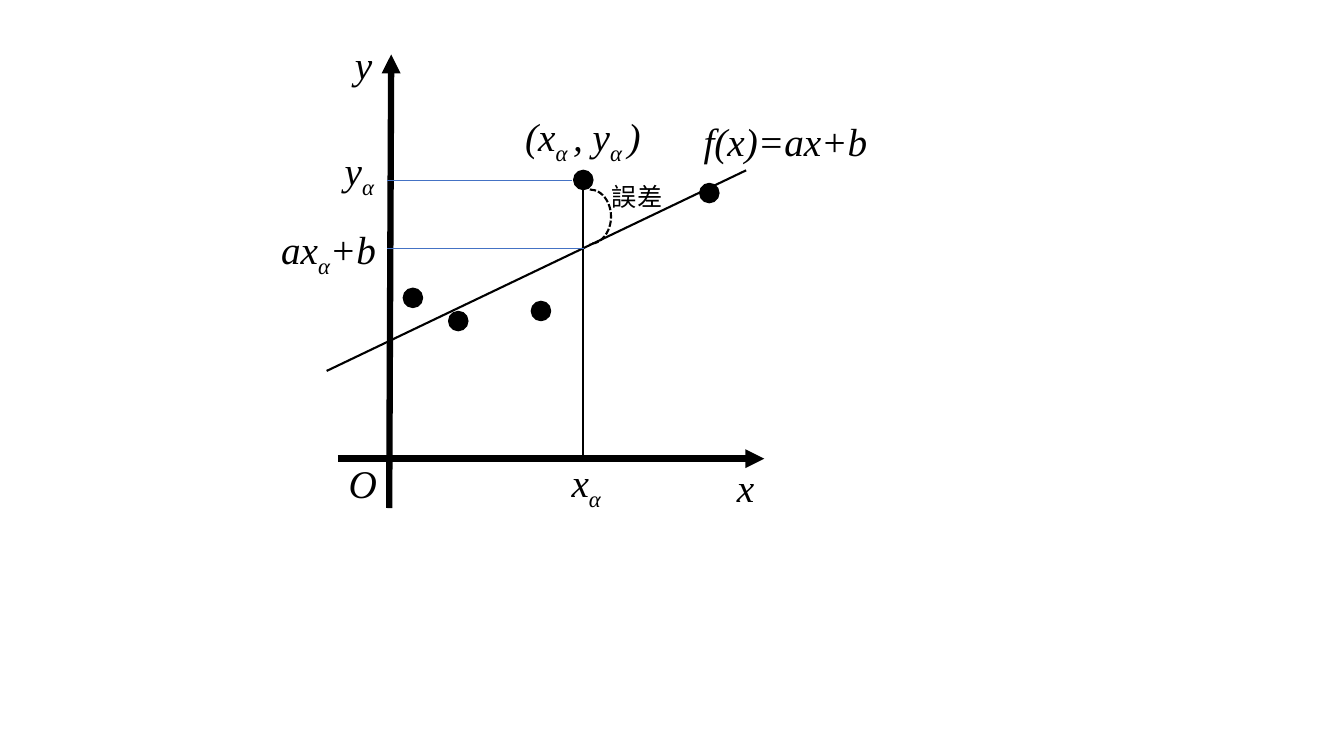
from lxml import etree
from pptx import Presentation
from pptx.dml.color import RGBColor
from pptx.enum.dml import MSO_LINE
from pptx.enum.shapes import MSO_CONNECTOR, MSO_SHAPE
from pptx.enum.text import MSO_AUTO_SIZE
from pptx.oxml.ns import qn
from pptx.util import Pt

PX = 9144
BLACK = RGBColor(0x00, 0x00, 0x00)
BLUE = RGBColor(0x44, 0x72, 0xC4)
SERIF = "Times New Roman"
SANS = "Noto Sans CJK JP"
LINE = MSO_CONNECTOR.STRAIGHT
OVAL = MSO_SHAPE.OVAL
ARC = MSO_SHAPE.ARC
DASH = MSO_LINE.SQUARE_DOT
FIT = MSO_AUTO_SIZE.SHAPE_TO_FIT_TEXT

AXES = [(335, 455, 758, 455), (386, 504, 388, 54)]
TREND = (324, 368, 740, 169)
DROP = (578, 455, 578, 188)
GUIDES = [(384, 179, 567, 179), (384, 246, 579, 246)]
DOT = 19
DOTS = [(400, 286), (445, 309), (569, 169), (694, 182), (527, 299)]
ERROR = (564, 188, 42, 54)
LABELS = [
    (["x"], (721, 455, 38, 57)),
    (["y"], (342, 35, 38, 57)),
    (["O"], (336, 451, 49, 57)),
    (["f(x)=ax+b"], (688, 111, 184, 57)),
    (["(x", "α ", ", y", "α ", ")"], (511, 107, 141, 57)),
    (["y", "α"], (332, 140, 51, 57)),
    (["ax", "α", "+b"], (269, 219, 117, 57)),
    (["x", "α"], (557, 450, 51, 57)),
]
NOTE = (["誤差"], (597, 175, 71, 40))

deck = Presentation()
deck.slide_width, deck.slide_height = 1333 * PX, 750 * PX
slide = deck.slides.add_slide(deck.slide_layouts[6])


def scale(box):
    return [n * PX for n in box]


def add_line(ends, color=BLACK, width=1.5, arrow=False):
    line = slide.shapes.add_connector(LINE, *scale(ends))
    line.line.color.rgb = color
    line.line.width = Pt(width)
    if arrow:
        etree.SubElement(line.line._get_or_add_ln(), qn("a:tailEnd"), type="triangle")
    etree.SubElement(line._element.spPr, qn("a:effectLst"))


def add_form(kind, box, width):
    form = slide.shapes.add_shape(kind, *scale(box))
    form.shadow.inherit = False
    form.line.color.rgb = BLACK
    form.line.width = Pt(width)
    return form


def add_text(parts, box, font=SERIF, size=28, italic=True):
    label = slide.shapes.add_textbox(*scale(box))
    frame = label.text_frame
    frame.word_wrap = False
    frame.auto_size = FIT
    for i, part in enumerate(parts):
        run = frame.paragraphs[0].add_run()
        run.text = part
        run.font.name = font
        run.font.size = Pt(size)
        run.font.italic = italic
        run.font.color.rgb = BLACK
        props = run.font._element
        etree.SubElement(props, qn("a:ea"), typeface=font)
        if i % 2:
            props.set("baseline", "-25000")


for ends in AXES:
    add_line(ends, width=4.5, arrow=True)
add_line(TREND)
for left, top in DOTS:
    dot = add_form(OVAL, (left, top, DOT, DOT), 1)
    dot.fill.solid()
    dot.fill.fore_color.rgb = BLACK
add_line(DROP)
arc = add_form(ARC, ERROR, 1.5)
arc.fill.background()
arc.line.dash_style = DASH
arc.adjustments[0] = 162
arc.adjustments[1] = 54.11
for ends in GUIDES:
    add_line(ends, color=BLUE, width=0.5)
for parts, box in LABELS:
    add_text(parts, box)
add_text(*NOTE, font=SANS, size=18, italic=False)

deck.save("out.pptx")
